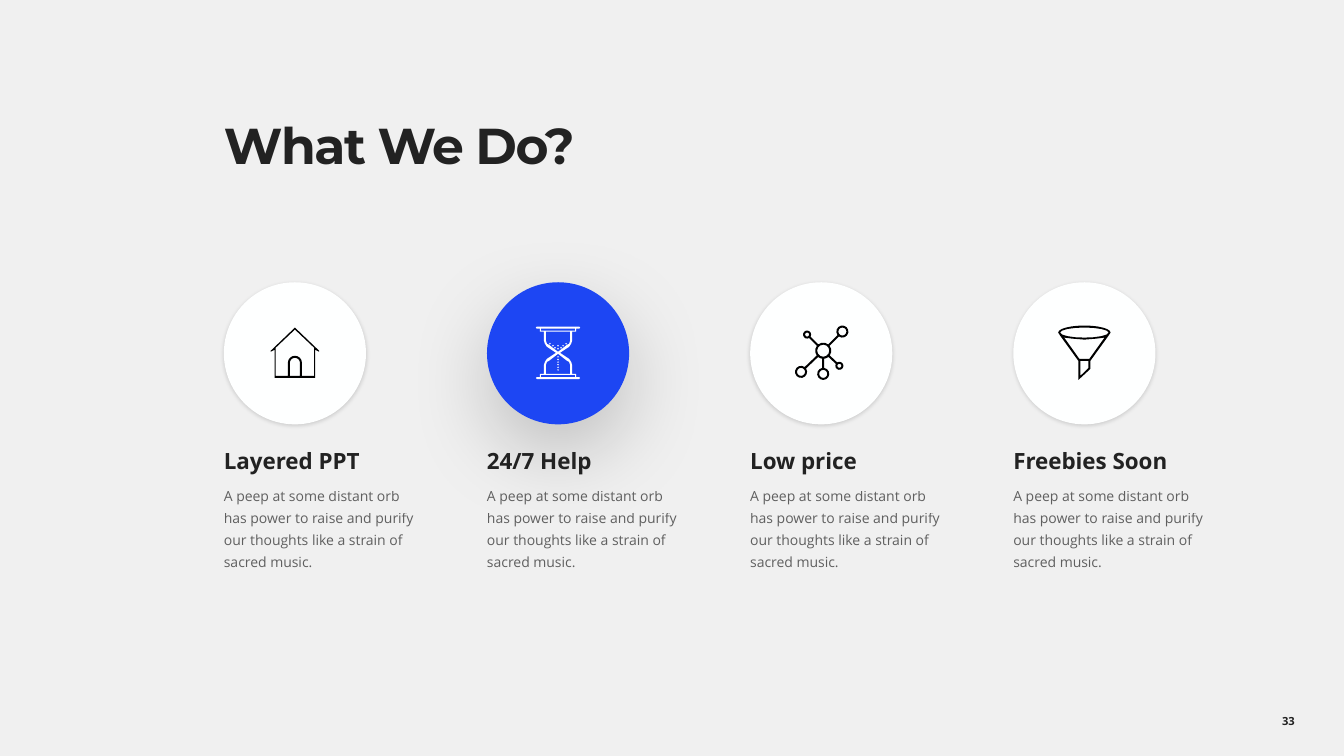
from math import asin, atan2, cos, hypot, pi, sin

from lxml.etree import SubElement
from pptx import Presentation
from pptx.dml.color import RGBColor
from pptx.enum.shapes import MSO_SHAPE
from pptx.enum.text import MSO_ANCHOR, PP_ALIGN
from pptx.oxml.ns import qn
from pptx.util import Inches, Pt

BACKGROUND = RGBColor(0xF0, 0xF0, 0xF0)
INK = RGBColor(0x22, 0x22, 0x22)
OFF_WHITE = RGBColor(0xFE, 0xFF, 0xFF)
WHITE = RGBColor(0xFF, 0xFF, 0xFF)
BLUE = RGBColor(0x1D, 0x46, 0xF3)
BLACK = RGBColor(0x00, 0x00, 0x00)

HEADING_FONT, BODY_FONT = "Montserrat", "Open Sans"
LEFT, STEP = 2.22, 2.61
CIRCLE_TOP, CIRCLE = 2.8, 1.41
ICON_Y = 3.5
BODY = ("A peep at some distant orb has power to raise and purify "
        "our thoughts like a strain of sacred music.")


class Deck:
    """Holds the current slide and its text and shape style."""

    def __init__(self, slide):
        self.s = slide

    def font(self, p, name, size, bold=False, alpha=None, spacing=None):
        p.font.name, p.font.size, p.font.bold = name, Pt(size), bold
        p.font.color.rgb = INK
        props = p._p.pPr.find(qn("a:defRPr"))
        if alpha:
            color = props.find(".//" + qn("a:srgbClr"))
            SubElement(color, qn("a:alpha"), val=str(alpha * 1000))
        if spacing:
            props.set("spc", str(spacing * 100))

    def text_frame(self, sp, margins, anchor=MSO_ANCHOR.TOP):
        tf = sp.text_frame
        tf.word_wrap = True
        tf.vertical_anchor = anchor
        (tf.margin_left, tf.margin_top,
         tf.margin_right, tf.margin_bottom) = map(Inches, margins)
        return tf

    def title(self, text):
        sp = self.s.shapes.title
        sp.left, sp.top = Inches(LEFT), Inches(1.04)
        sp.width, sp.height = Inches(10.01), Inches(1.37)
        p = self.text_frame(sp, (0, 0.21, 0, 0)).paragraphs[0]
        p.text, p.alignment, p.line_spacing = text, PP_ALIGN.LEFT, 0.8
        self.font(p, HEADING_FONT, 36, bold=True, spacing=-1)

    def page_number(self, text):
        sp = self.s.shapes.add_textbox(Inches(12.23), Inches(6.95), Inches(1.1), Inches(0.4))
        p = self.text_frame(sp, (0.1, 0.05, 0.1, 0.05), MSO_ANCHOR.MIDDLE).paragraphs[0]
        p.text, p.alignment = text, PP_ALIGN.CENTER
        self.font(p, BODY_FONT, 8, bold=True)

    def circle(self, x, fill, alpha, blur, distance):
        sp = self.s.shapes.add_shape(MSO_SHAPE.OVAL, Inches(x), Inches(CIRCLE_TOP),
                                     Inches(CIRCLE), Inches(CIRCLE))
        self.fill(sp, fill)
        effects = sp._element.spPr.find(qn("a:effectLst"))
        shadow = SubElement(effects, qn("a:outerShdw"), blurRad=str(Pt(blur)),
                            dist=str(Pt(distance)), dir="5400000", rotWithShape="0")
        color = SubElement(shadow, qn("a:srgbClr"), val=str(BLACK))
        SubElement(color, qn("a:alpha"), val=str(alpha * 1000))

    def caption(self, x, heading):
        sp = self.s.shapes.add_textbox(Inches(x), Inches(4.4), Inches(2.15), Inches(1.29))
        tf = self.text_frame(sp, (0, 0.04, 0.24, 0.04))
        p = tf.paragraphs[0]
        p.text = heading
        self.font(p, BODY_FONT, 16, bold=True)
        p = tf.add_paragraph()
        p.text, p.line_spacing, p.space_before = BODY, 1.3, Pt(6)
        self.font(p, BODY_FONT, 10, alpha=70)

    def icon(self, center_x, contours, color):
        """One filled freeform; inner contours are holes."""
        builder = None
        for contour in contours:
            start, *rest = [(Inches(center_x + x), Inches(ICON_Y + y)) for x, y in contour]
            if builder is None:
                builder = self.s.shapes.build_freeform(*start)
            else:
                builder.move_to(*start)
            builder.add_line_segments(rest, close=True)
        self.fill(builder.convert_to_shape(), color)

    def fill(self, sp, color):
        sp.fill.solid()
        sp.fill.fore_color.rgb = color
        sp.line.fill.background()
        sp.shadow.inherit = False


# Icon outlines, in inches from the icon centre
def arc(x, y, rx, ry, start, end, steps):
    angles = [start + (end - start) * i / steps for i in range(steps + 1)]
    return [(x + rx * cos(a), y + ry * sin(a)) for a in angles]


def oval(x, y, rx, ry, steps=12):
    return arc(x, y, rx, ry, 0, 2 * pi, steps)[:-1]


def mirror(points, sx, sy):
    return [(x * sx, y * sy) for x, y in points]


def house():
    walls = [(0.24, -0.02), (0, -0.25), (-0.24, -0.02), (-0.24, -0.01), (-0.2, -0.03),
             (-0.2, 0.25), (0.2, 0.25), (0.2, -0.03), (0.24, -0.01)]
    room = [(0.19, 0.23), (0.07, 0.23), *arc(0, 0.1, 0.07, 0.07, 0, -pi, 8),
            (-0.07, 0.23), (-0.19, 0.23), (-0.19, -0.05), (0, -0.23), (0.19, -0.05)]
    door = [(0.05, 0.23), *arc(0, 0.1, 0.05, 0.05, 0, -pi, 8), (-0.05, 0.23)]
    return [walls, room, door]


def hourglass():
    corner = [(0.02, 0), (0.11, 0.06), (0.13, 0.09), (0.14, 0.12), (0.14, 0.21), (0.18, 0.21),
              (0.18, 0.24), (0.21, 0.24), (0.22, 0.25), (0.21, 0.26)]
    contours = [corner + mirror(corner, -1, 1)[::-1] + mirror(corner, -1, -1)
                + mirror(corner, 1, -1)[::-1]]
    bulb = [(0, 0.01), (0.09, 0.08), (0.11, 0.09), (0.12, 0.12), (0.12, 0.21)]
    plate = [(0.17, 0.22), (0.17, 0.24)]
    for side in (1, -1):
        for half in (bulb, plate):
            contours.append(mirror(half, 1, side) + mirror(half, -1, side)[::-1])
    sand = [(-0.08, -0.09), (-0.05, -0.07), (0, -0.07), (0.05, -0.07), (0.08, -0.09),
            (-0.03, -0.05), (0, -0.04), (0.03, -0.05)]
    stream = [(0, 0.04 + 0.026 * i) for i in range(6)]
    return contours + [oval(x, y, 0.008, 0.008, 4) for x, y in sand + stream]


def network():
    hub_x, hub_y, hub_r = 0.02, -0.02, 0.08
    stroke, half_spoke = 0.02, 0.01
    # Clockwise from the upper left
    nodes = [(-0.14, -0.18, 0.04), (0.21, -0.21, 0.06), (0.18, 0.13, 0.04),
             (0.02, 0.21, 0.06), (-0.2, 0.19, 0.06)]
    angles = [atan2(y - hub_y, x - hub_x) for x, y, r in nodes]
    gap = asin(half_spoke / hub_r)
    outer = []
    for (x, y, r), angle, following in zip(nodes, angles, angles[1:] + [angles[0] + 2 * pi]):
        turn = pi - asin(half_spoke / r)
        outer += arc(x, y, r, r, angle - turn, angle + turn, 12)
        outer += arc(hub_x, hub_y, hub_r, hub_r, angle + gap, following - gap, 3)
    rings = [(hub_x, hub_y, hub_r)] + nodes
    return [outer] + [oval(x, y, r - stroke, r - stroke) for x, y, r in rings]


def funnel():
    outer = [*arc(0, -0.2, 0.26, 0.07, 0, -pi, 12), (-0.24, -0.17), (-0.06, 0.08),
             (-0.06, 0.27), (0.06, 0.16), (0.06, 0.08), (0.24, -0.17)]
    cone = [(0.05, 0.06), (-0.05, 0.06), (-0.2, -0.15), (-0.12, -0.14),
            (0, -0.13), (0.12, -0.14), (0.2, -0.15)]
    spout = [(-0.04, 0.08), (-0.04, 0.23), (0.04, 0.15), (0.04, 0.08)]
    return [outer, oval(0, -0.2, 0.24, 0.05, 16), cone, spout]


def main():
    prs = Presentation()
    prs.slide_width, prs.slide_height = Inches(13.33), Inches(7.5)
    s = prs.slides.add_slide(prs.slide_layouts[5])
    s.background.fill.solid()
    s.background.fill.fore_color.rgb = BACKGROUND
    d = Deck(s)

    # Title and page number
    d.page_number("33")
    d.title("What We Do?")

    # Four services, the second highlighted
    plain = (OFF_WHITE, 15, 3, 1)
    highlight = (BLUE, 20, 60, 20)
    services = [("Layered PPT", house, plain, BLACK),
                ("24/7 Help", hourglass, highlight, WHITE),
                ("Low price", network, plain, BLACK),
                ("Freebies Soon", funnel, plain, BLACK)]
    for i, (heading, outline, style, color) in enumerate(services):
        x = LEFT + STEP * i
        d.circle(x, *style)
        d.caption(x, heading)
        d.icon(x + CIRCLE / 2, outline(), color)

    prs.save("out.pptx")


if __name__ == "__main__":
    main()
